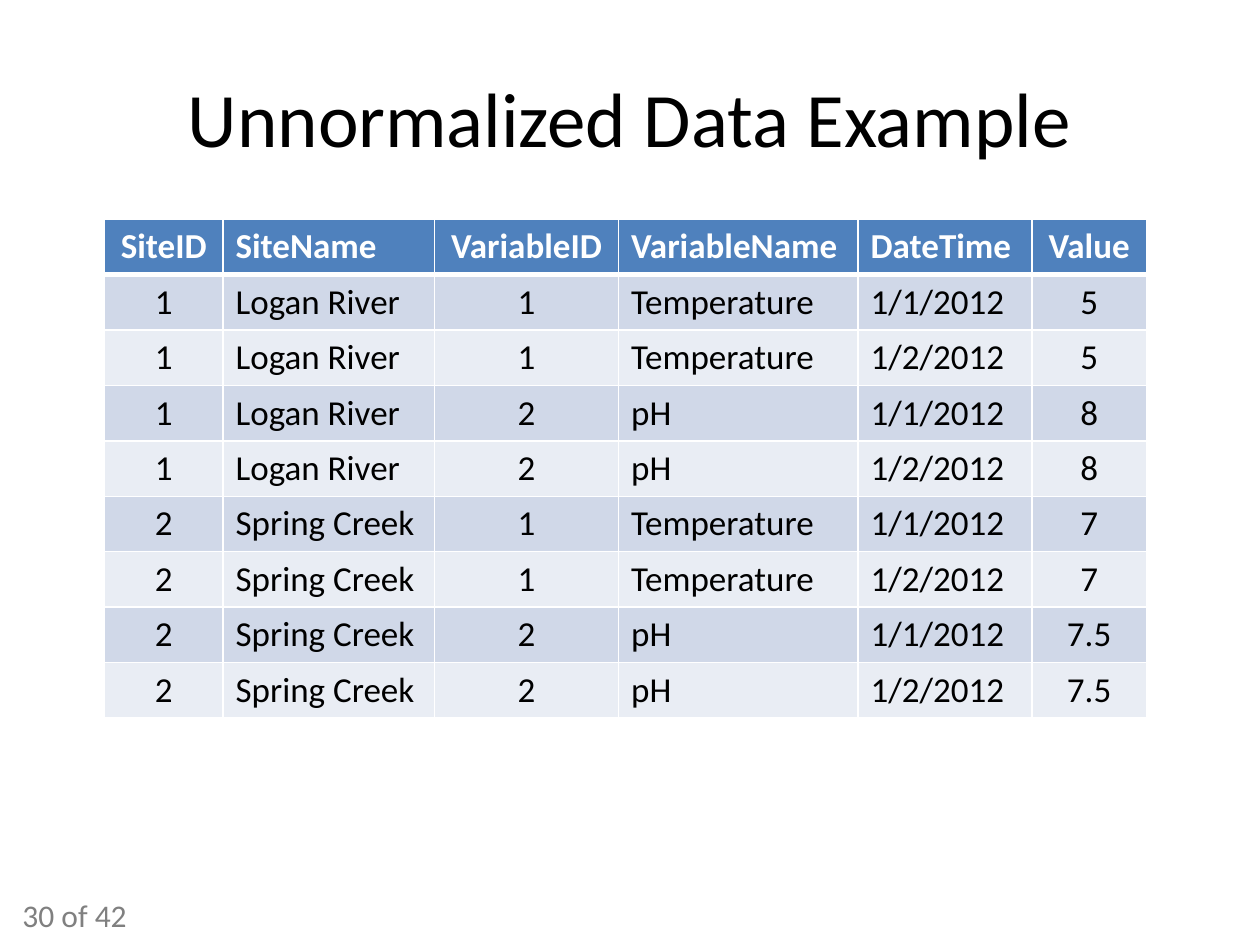
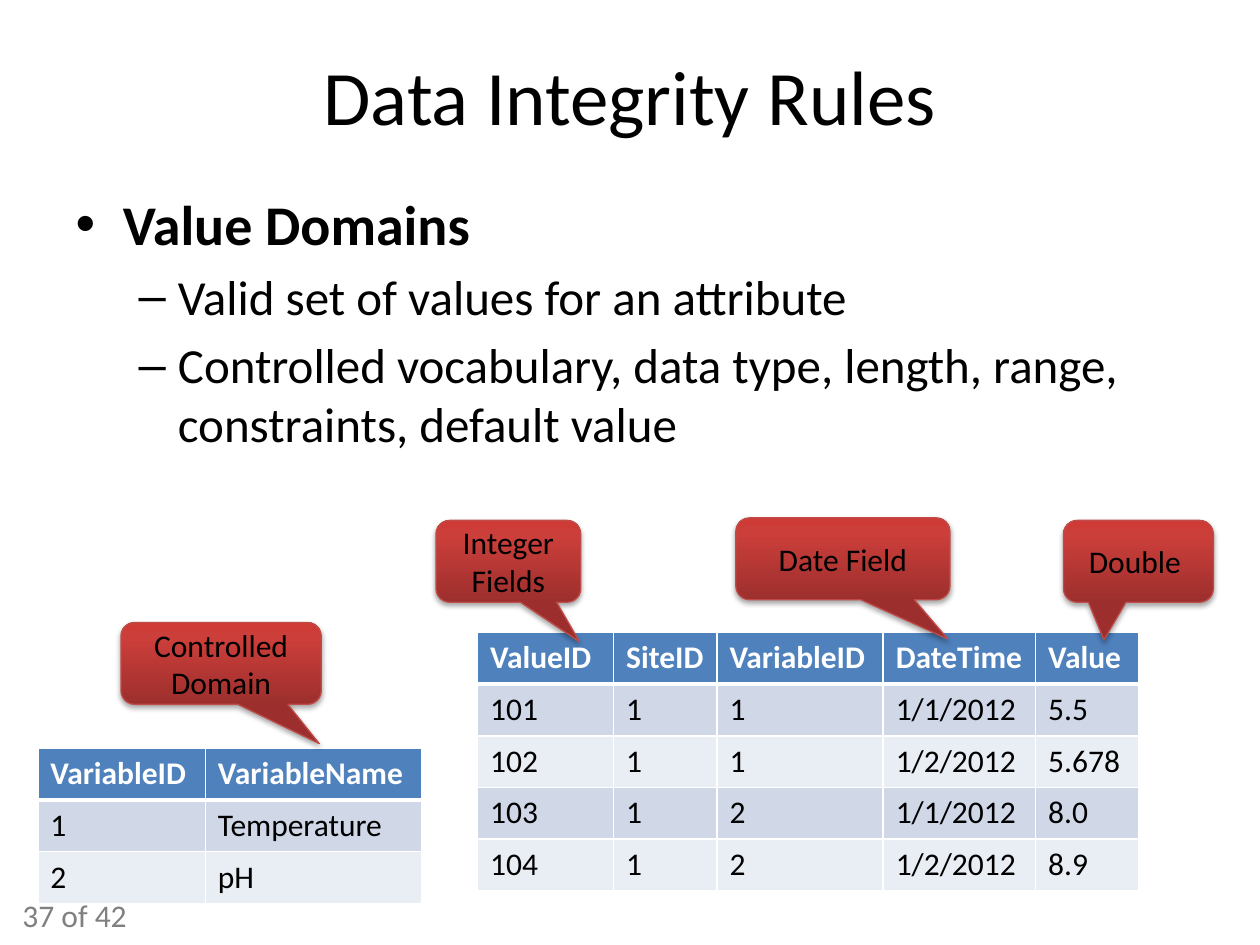
from lxml import etree
from pptx import Presentation
from pptx import util as u
from pptx.dml.color import RGBColor
from pptx.enum import shapes, text
from pptx.oxml import parse_xml
from pptx.oxml.ns import nsdecls, qn

FONT = "Calibri"
BLACK = RGBColor(0x00, 0x00, 0x00)
WHITE = RGBColor(0xFF, 0xFF, 0xFF)
GRAY = RGBColor(0x80, 0x80, 0x80)
HEADER_BLUE = RGBColor(0x4F, 0x81, 0xBD)
ROW_BANDS = (RGBColor(0xD0, 0xD8, 0xE8), RGBColor(0xE9, 0xED, 0xF4))
CALLOUT_LINE = RGBColor(0xBF, 0x4C, 0x48)
CALLOUT_STOPS = (
    (0, RGBColor(0x9C, 0x2F, 0x2D)),
    (80, RGBColor(0xCB, 0x3E, 0x3A)),
    (100, RGBColor(0xCE, 0x3B, 0x37)),
)

LEFT, CENTER = text.PP_ALIGN.LEFT, text.PP_ALIGN.CENTER
TITLE_ONLY, TITLE_AND_BODY = 5, 1
PAGE_COUNT = 42
CALLOUT_HEIGHT = 0.65
POINT_RIGHT = (0.49, 0.98)
POINT_LEFT = (-0.23, 0.96)

SITE_HEADER = ("SiteID", "SiteName", "VariableID", "VariableName", "DateTime", "Value")
SITES = (("1", "Logan River"), ("2", "Spring Creek"))
VARIABLES = (("1", "Temperature"), ("2", "pH"))
DATES = ("1/1/2012", "1/2/2012")
READINGS = {("1", "1"): "5", ("1", "2"): "8", ("2", "1"): "7", ("2", "2"): "7.5"}

VALUE_ROWS = (
    ("ValueID", "SiteID", "VariableID", "DateTime", "Value"),
    ("101", "1", "1", "1/1/2012", "5.5"),
    ("102", "1", "1", "1/2/2012", "5.678"),
    ("103", "1", "2", "1/1/2012", "8.0"),
    ("104", "1", "2", "1/2/2012", "8.9"),
)
VARIABLE_ROWS = (("VariableID", "VariableName"),) + VARIABLES

RULES = (
    ("Value Domains", 0, 32, True),
    ("Valid set of values for an attribute", 1, 28, False),
    ("Controlled vocabulary, data type, length, range, constraints, default value",
     1, 28, False),
)

CALLOUTS = (
    ("Integer Fields", 3.46, 4.13, 1.15, POINT_RIGHT),
    ("Date Field", 5.84, 4.11, 1.7, POINT_RIGHT),
    ("Double ", 8.44, 4.13, 1.19, POINT_LEFT),
    ("Controlled Domain", 0.96, 4.94, 1.59, POINT_RIGHT),
)


def write(para, words, size=18, color=BLACK, bold=False, align=None):
    span = para.add_run()
    span.text = words
    span.font.name = FONT
    span.font.size = u.Pt(size)
    span.font.bold = bold
    span.font.color.rgb = color
    if align is not None:
        para.alignment = align


def place(item, left, top, width, height):
    item.left, item.top = u.Inches(left), u.Inches(top)
    item.width, item.height = u.Inches(width), u.Inches(height)


def add_page(deck, layout, title, number, title_height):
    page = deck.slides.add_slide(deck.slide_layouts[layout])
    place(page.shapes.title, 0.5, 0.3, 9, title_height)
    frame = page.shapes.title.text_frame
    frame.vertical_anchor = text.MSO_ANCHOR.MIDDLE
    frame.auto_size = text.MSO_AUTO_SIZE.NONE
    write(frame.paragraphs[0], title, size=44, align=CENTER)
    footer = page.shapes.add_textbox(
        u.Inches(0.08), u.Inches(7.06), u.Inches(1.15), u.Inches(0.4))
    footer.text_frame.word_wrap = True
    write(footer.text_frame.paragraphs[0], f"{number} of {PAGE_COUNT}", color=GRAY)
    return page


def add_borders(cell, row):
    properties = cell._tc.get_or_add_tcPr()
    for side in "LRTB":
        under_header = (row, side) in ((0, "B"), (1, "T"))
        width = u.Pt(3 if under_header else 1)
        properties.append(parse_xml(
            f'<a:ln{side} {nsdecls("a")} w="{width}"><a:solidFill>'
            f'<a:srgbClr val="{WHITE}"/></a:solidFill></a:ln{side}>'))


def add_data_table(page, left, top, widths, rows, row_height=0.41, size=18, centered=()):
    frame = page.shapes.add_table(
        len(rows), len(widths), u.Inches(left), u.Inches(top),
        u.Inches(sum(widths)), u.Inches(row_height * len(rows)))
    table = frame.table
    for column, width in zip(table.columns, widths):
        column.width = u.Inches(width)
    for r, values in enumerate(rows):
        table.rows[r].height = u.Inches(row_height)
        for c, value in enumerate(values):
            cell = table.cell(r, c)
            add_borders(cell, r)
            cell.fill.solid()
            cell.fill.fore_color.rgb = ROW_BANDS[(r - 1) % 2] if r else HEADER_BLUE
            write(cell.text_frame.paragraphs[0], value, size=size,
                  color=BLACK if r else WHITE, bold=r == 0,
                  align=CENTER if c in centered else LEFT)


def add_callout(page, words, left, top, width, pointer):
    box = page.shapes.add_shape(
        shapes.MSO_SHAPE.ROUNDED_RECTANGULAR_CALLOUT, u.Inches(left), u.Inches(top),
        u.Inches(width), u.Inches(CALLOUT_HEIGHT))
    box.adjustments[0], box.adjustments[1] = pointer
    box.line.color.rgb = CALLOUT_LINE
    box.line.width = u.Pt(0.75)
    box.fill.gradient()
    box.fill.gradient_angle = 90
    stops = box._element.spPr.find(qn("a:gradFill")).find(qn("a:gsLst"))
    for stop in list(stops):
        stops.remove(stop)
    for position, color in CALLOUT_STOPS:
        stop = etree.SubElement(stops, qn("a:gs"), pos=str(position * 1000))
        etree.SubElement(stop, qn("a:srgbClr"), val=str(color))
    box.shadow.inherit = False
    box._element.spPr.find(qn("a:effectLst")).append(parse_xml(
        f'<a:outerShdw {nsdecls("a")} blurRad="{u.Pt(3.1)}" dist="{u.Pt(1.8)}" '
        f'dir="5400000" rotWithShape="0"><a:srgbClr val="{BLACK}">'
        '<a:alpha val="35000"/></a:srgbClr></a:outerShdw>'))
    frame = box.text_frame
    frame.word_wrap = True
    frame.vertical_anchor = text.MSO_ANCHOR.MIDDLE
    write(frame.paragraphs[0], words, align=CENTER)


def add_rules(page, left, top, width, height):
    body = page.placeholders[1]
    place(body, left, top, width, height)
    frame = body.text_frame
    frame.auto_size = text.MSO_AUTO_SIZE.NONE
    for index, (words, level, size, bold) in enumerate(RULES):
        para = frame.add_paragraph() if index else frame.paragraphs[0]
        para.level = level
        if index == 0:
            para.space_before = u.Pt(0)
        write(para, words, size=size, bold=bold)


def build_unnormalized(deck):
    page = add_page(deck, TITLE_ONLY, "Unnormalized Data Example", 30, 1.25)
    rows = [SITE_HEADER] + [
        site + variable + (date, READINGS[site[0], variable[0]])
        for site in SITES for variable in VARIABLES for date in DATES]
    add_data_table(page, 0.83, 1.74, (0.94, 1.68, 1.46, 1.9, 1.38, 0.91), rows,
                   row_height=0.44, size=20, centered=(0, 2, 5))


def build_integrity(deck):
    page = add_page(deck, TITLE_AND_BODY, "Data Integrity Rules", 37, 0.91)
    add_rules(page, 0.5, 1.45, 9, 5.25)
    add_data_table(page, 3.79, 5.02, (1.08, 0.82, 1.32, 1.21, 0.82), VALUE_ROWS)
    add_data_table(page, 0.3, 5.94, (1.33, 1.72), VARIABLE_ROWS)
    for callout in CALLOUTS:
        add_callout(page, *callout)


def main():
    deck = Presentation()
    deck.slide_width, deck.slide_height = u.Inches(10), u.Inches(7.5)
    build_unnormalized(deck)
    build_integrity(deck)
    deck.save("out.pptx")


if __name__ == "__main__":
    main()
